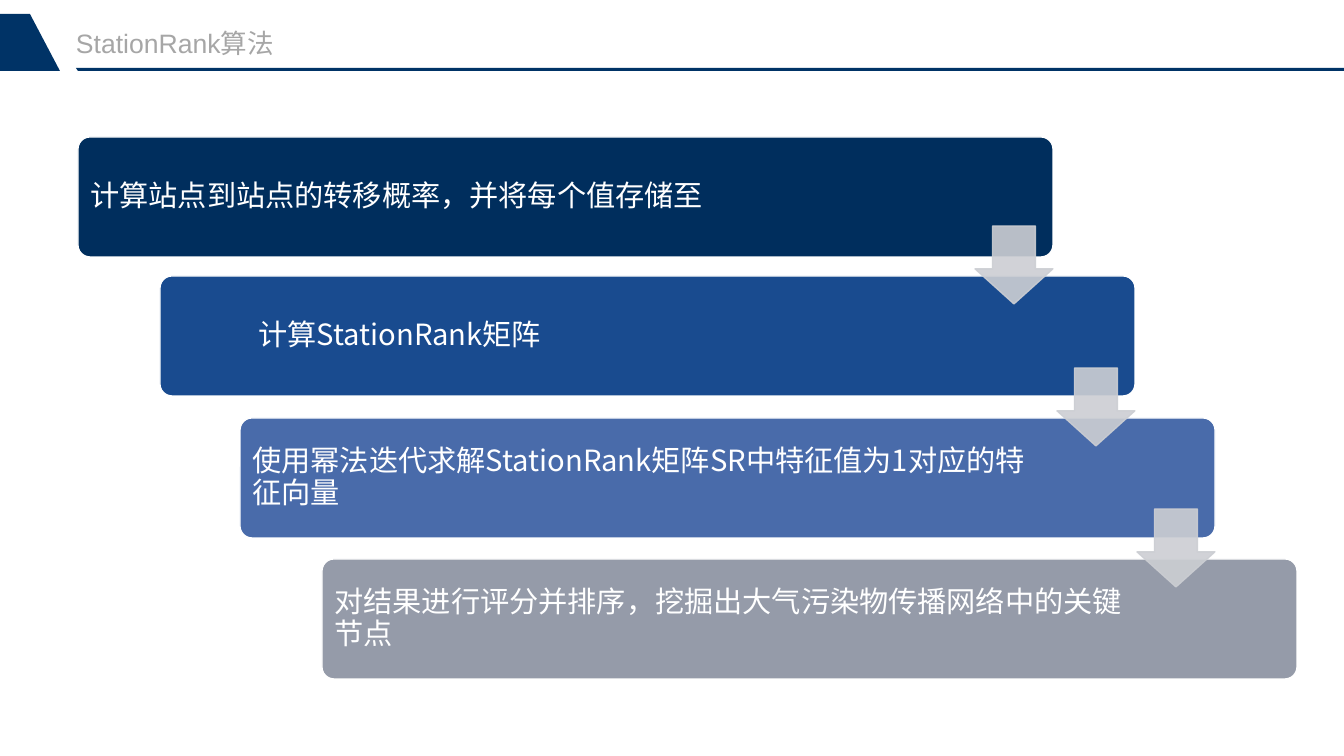
from lxml import etree
from pptx import Presentation
from pptx.dml.color import RGBColor
from pptx.enum.shapes import MSO_SHAPE
from pptx.enum.text import MSO_ANCHOR, MSO_AUTO_SIZE, PP_ALIGN
from pptx.oxml.ns import qn
from pptx.util import Pt

ROUNDED = MSO_SHAPE.ROUNDED_RECTANGLE
DOWN_ARROW = MSO_SHAPE.DOWN_ARROW
LEFT = PP_ALIGN.LEFT
TOP, MIDDLE = MSO_ANCHOR.TOP, MSO_ANCHOR.MIDDLE
NO_FIT = MSO_AUTO_SIZE.NONE

NAVY = RGBColor(0x00, 0x33, 0x66)
TITLE_GRAY = RGBColor(0xA6, 0xA6, 0xA6)
ARROW_GRAY = RGBColor(0xCC, 0xCE, 0xD3)
WHITE = RGBColor(0xFF, 0xFF, 0xFF)
DEEP_BLUE = RGBColor(0x00, 0x2E, 0x5D)
BLUE = RGBColor(0x19, 0x4B, 0x8F)
LIGHT_BLUE = RGBColor(0x49, 0x6B, 0xAA)
SLATE = RGBColor(0x95, 0x9B, 0xA9)

LATIN = "Arial"
CHINESE = "Noto Sans CJK SC"
EMU_PER_PX = 914400 / 95.6

CARD_WIDTH, CARD_HEIGHT = 975, 120
ARROW_SIZE = 78
ARROW_SHIFT = 897  # from the left of the card it leaves
ARROW_RISE = 50  # above the top of the next card

# left, top, fill, font, text indent, text
STEPS = [
    (78, 137, DEEP_BLUE, LATIN, 0, "计算站点到站点的转移概率，并将每个值存储至"),
    (160, 276, BLUE, CHINESE, 86, "计算StationRank矩阵"),
    (240, 418, LIGHT_BLUE, CHINESE, 0,
     "使用幂法迭代求解StationRank矩阵SR中特征值为1对应的特征向量"),
    (322, 559, SLATE, CHINESE, 0,
     "对结果进行评分并排序，挖掘出大气污染物传播网络中的关键节点"),
]


def px(length):
    return round(length * EMU_PER_PX)


def set_margins(frame, left, top, right, bottom):
    frame.margin_left, frame.margin_top = px(left), px(top)
    frame.margin_right, frame.margin_bottom = px(right), px(bottom)


def style_paragraph(para, size, color, latin):
    para.alignment = LEFT
    para.font.size = Pt(size)
    para.font.color.rgb = color
    para.font.name = latin
    defaults = para._p.pPr.find(qn("a:defRPr"))
    etree.SubElement(defaults, qn("a:ea")).set("typeface", CHINESE)


def add_outline(page, points):
    builder = page.shapes.build_freeform(*points[0], scale=EMU_PER_PX)
    builder.add_line_segments(points[1:], close=True)
    shape = builder.convert_to_shape()
    shape.shadow.inherit = False
    shape.fill.solid()
    shape.fill.fore_color.rgb = NAVY
    shape.line.fill.background()


def add_preset(page, kind, left, top, width, height, fill, line):
    shape = page.shapes.add_shape(kind, px(left), px(top), px(width), px(height))
    shape.shadow.inherit = False
    shape.fill.solid()
    shape.fill.fore_color.rgb = fill
    shape.line.color.rgb = line
    shape.line.width = Pt(1)
    return shape


def add_title(page, text):
    title = page.shapes.title
    title.left, title.top = px(76), px(27)
    title.width, title.height = px(320), px(33)
    frame = title.text_frame
    frame.auto_size = NO_FIT
    frame.vertical_anchor = TOP
    set_margins(frame, 0, 0, 0, 0)
    para = frame.paragraphs[0]
    para.text = text
    style_paragraph(para, 20, TITLE_GRAY, LATIN)


def add_card(page, left, top, fill, font, indent, text):
    card = add_preset(page, ROUNDED, left, top, CARD_WIDTH, CARD_HEIGHT, fill, WHITE)
    card.adjustments[0] = 0.1
    frame = card.text_frame
    frame.word_wrap = True
    frame.vertical_anchor = MIDDLE
    set_margins(frame, 9 + indent, 9, 168, 9)
    para = frame.paragraphs[0]
    para.text = text
    para.line_spacing = 0.9
    style_paragraph(para, 22, WHITE, font)


def add_arrow(page, left, top):
    arrow = add_preset(page, DOWN_ARROW, left, top, ARROW_SIZE, ARROW_SIZE,
                       ARROW_GRAY, ARROW_GRAY)
    arrow.adjustments[0] = 0.55
    arrow.adjustments[1] = 0.45
    # 90 % opacity for both fill and line
    for color in arrow._element.spPr.iter(qn("a:srgbClr")):
        etree.SubElement(color, qn("a:alpha")).set("val", "90000")


def main():
    deck = Presentation()
    deck.slide_width, deck.slide_height = px(1344), px(756)
    page = deck.slides.add_slide(deck.slide_layouts[5])

    # Header
    add_outline(page, [(76, 68), (1344, 68), (1344, 71), (78, 71)])
    add_outline(page, [(30, 14), (60, 71), (0, 71), (0, 14)])
    add_title(page, "StationRank算法")

    # Staircase of steps
    for step in STEPS:
        add_card(page, *step)

    # Arrows from each step to the next
    for current, following in zip(STEPS, STEPS[1:]):
        add_arrow(page, current[0] + ARROW_SHIFT, following[1] - ARROW_RISE)

    deck.save("out.pptx")


if __name__ == "__main__":
    main()
